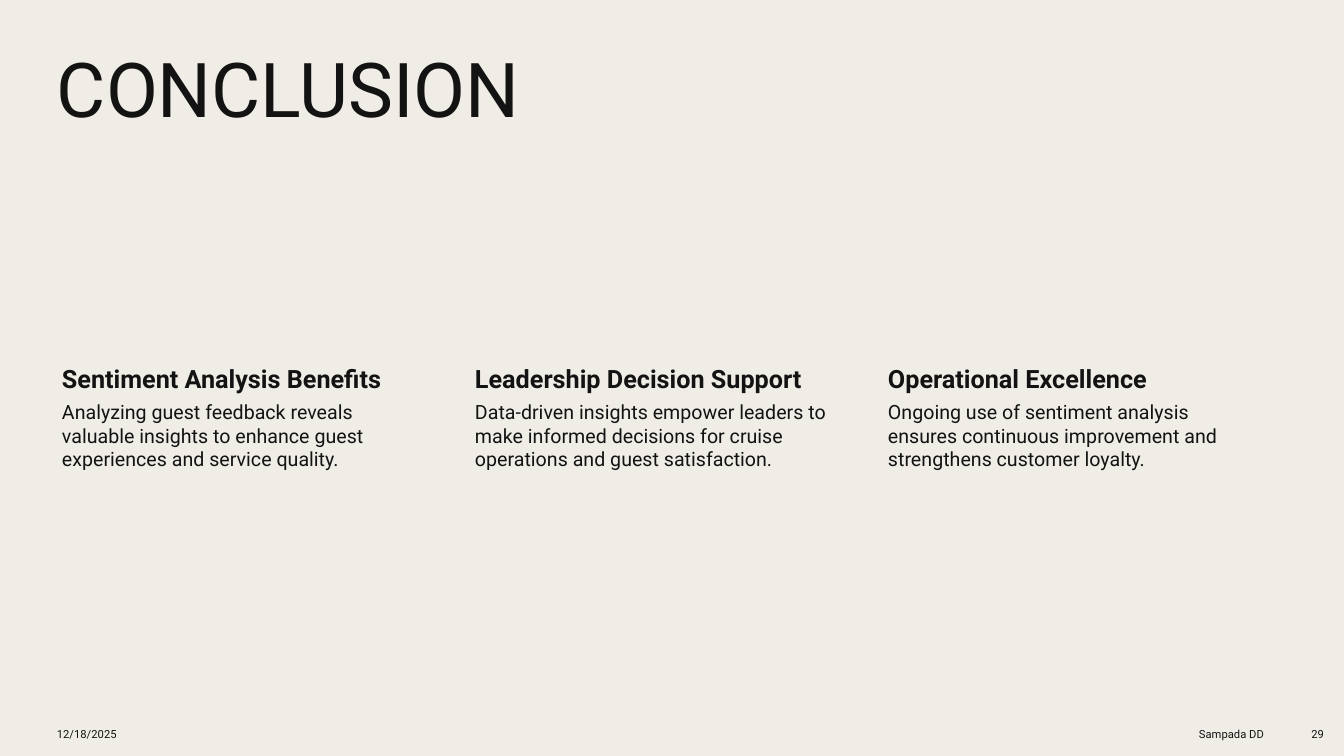
import pptx
import pptx.dml.color
import pptx.enum.text
import pptx.util

EMU_PER_PX = 914400 / 100.8
COLORS = {"background": "F0EDE6", "text": "131313"}
ALIGN = pptx.enum.text.PP_ALIGN
ANCHOR = pptx.enum.text.MSO_ANCHOR


def px(length):
    """Turn pixels into EMU."""
    return pptx.util.Emu(round(length * EMU_PER_PX))


def add_text(text, box, size, bold=False, frame_format=None, paragraph_format=None):
    """Add a one-paragraph text box; box is left, top, width, height in px."""
    shape = slide.shapes.add_textbox(*map(px, box))
    frame = shape.text_frame
    frame.word_wrap = True
    paragraph = frame.paragraphs[0]
    run = paragraph.add_run()
    run.text = text
    font_format = {"name": "Roboto", "size": pptx.util.Pt(size), "bold": bold}
    for target, values in (
        (frame, frame_format or {}),
        (paragraph, paragraph_format or {}),
        (run.font, font_format),
    ):
        for name, value in values.items():
            setattr(target, name, value)
    run.font.color.rgb = pptx.dml.color.RGBColor.from_string(COLORS["text"])


presentation = pptx.Presentation()
presentation.slide_width = px(1344)
presentation.slide_height = px(756)
slide = presentation.slides.add_slide(presentation.slide_layouts[6])
background = slide.background.fill
background.solid()
background.fore_color.rgb = pptx.dml.color.RGBColor.from_string(COLORS["background"])

add_text("CONCLUSION", (47, 47, 1200, 179), 54, paragraph_format={"line_spacing": 0.9})

takeaways = [
    (
        "Sentiment Analysis Benefits",
        "Analyzing guest feedback reveals valuable insights to enhance guest "
        "experiences and service quality.",
    ),
    (
        "Leadership Decision Support",
        "Data-driven insights empower leaders to make informed decisions for "
        "cruise operations and guest satisfaction.",
    ),
    (
        "Operational Excellence",
        "Ongoing use of sentiment analysis ensures continuous improvement and "
        "strengthens customer loyalty.",
    ),
]
heading_margins = {
    "margin_left": px(15), "margin_top": px(3), "margin_right": px(3), "margin_bottom": px(3),
}
body_margins = {
    "margin_left": px(15), "margin_top": px(2), "margin_right": px(2), "margin_bottom": px(2),
}
for column, (heading, body) in enumerate(takeaways):
    left = 47 + column * 413
    add_text(heading, (left, 360, 375, 38), 18, True, heading_margins)
    add_text(body, (left, 398, 375, 267), 14, False, body_margins)

footers = [
    ("12/18/2025", 47, 313, ALIGN.LEFT),
    ("Sampada DD", 981, 293, ALIGN.RIGHT),
    ("29", 1284, 50, ALIGN.RIGHT),
]
for text, left, width, alignment in footers:
    add_text(
        text, (left, 716, width, 37), 8,
        frame_format={"vertical_anchor": ANCHOR.MIDDLE},
        paragraph_format={"alignment": alignment, "space_after": pptx.util.Pt(6)},
    )

presentation.save("out.pptx")
